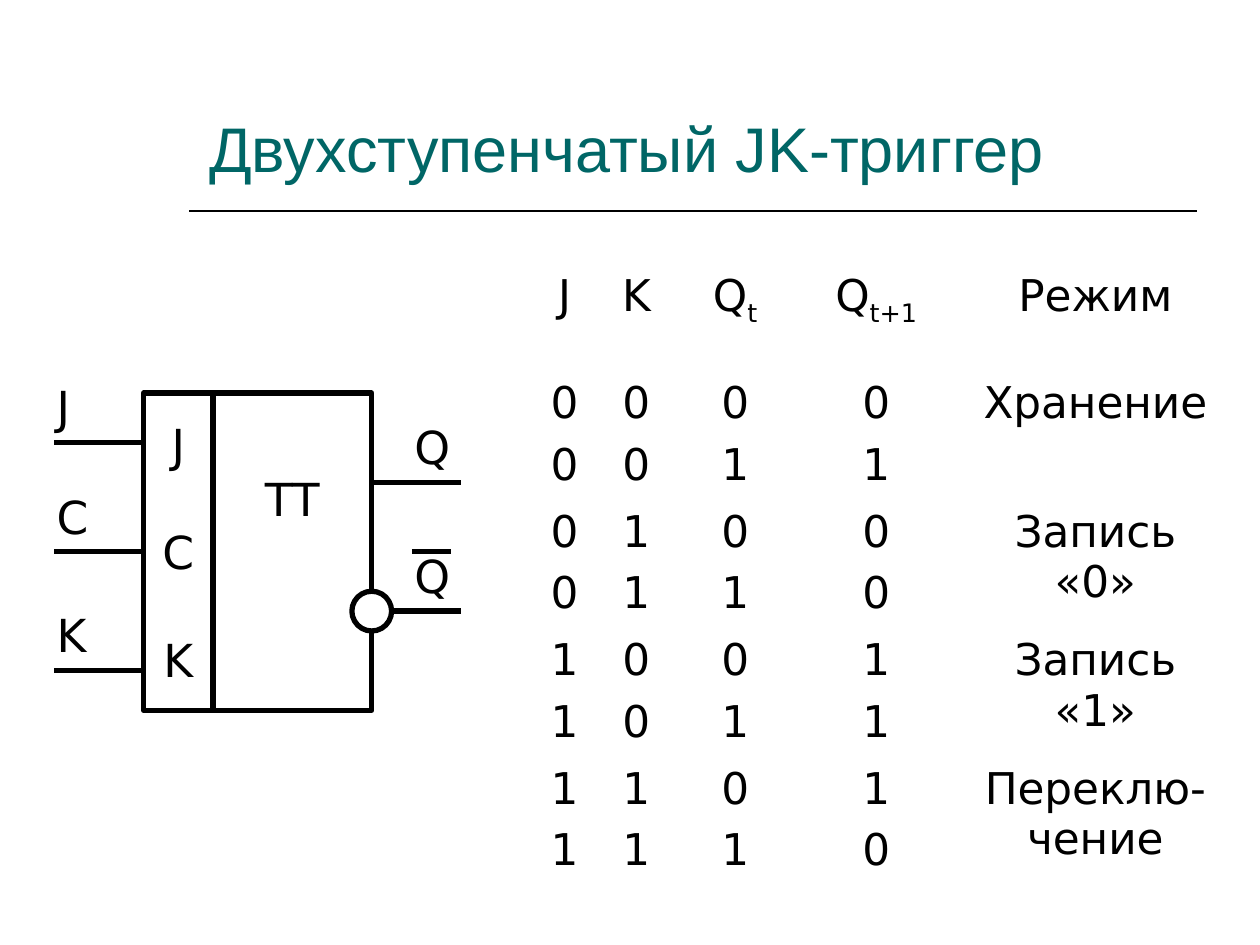
from lxml import etree
from pptx import Presentation
from pptx.dml.color import RGBColor
from pptx.enum.shapes import MSO_CONNECTOR, MSO_SHAPE
from pptx.enum.text import MSO_ANCHOR, MSO_AUTO_SIZE, PP_ALIGN
from pptx.oxml.ns import qn
from pptx.util import Pt

STRAIGHT = MSO_CONNECTOR.STRAIGHT
RECTANGLE, OVAL = MSO_SHAPE.RECTANGLE, MSO_SHAPE.OVAL
MIDDLE, BOTTOM = MSO_ANCHOR.MIDDLE, MSO_ANCHOR.BOTTOM
LEFT, CENTER = PP_ALIGN.LEFT, PP_ALIGN.CENTER
FIXED, GROW = MSO_AUTO_SIZE.NONE, MSO_AUTO_SIZE.SHAPE_TO_FIT_TEXT
LEFT_SIDE = 1

COLORS = {"ink": "000000", "paper": "FFFFFF", "title": "006666"}
HEAD_FONT, BODY_FONT = "Arial", "DejaVu Sans"
SYMBOL_SIZE, TABLE_SIZE = 26, 25
LINE_HEIGHT = 30.3  # one line of symbol text

PINS = ["J", "С", "K"]
HEADINGS = [("J", ""), ("K", ""), ("Q", "t"), ("Q", "t+1"), ("Режим", "")]
COLUMN_WIDTHS = [38.9, 43.2, 69.8, 91.4, 159.1]
# Each mode: J, K, then Q(t+1) for Q(t) = 0 and 1
MODES = [
    ("0", "0", "01", "Хранение"),
    ("0", "1", "00", "Запись «0»"),
    ("1", "0", "11", "Запись «1»"),
    ("1", "1", "10", "Переклю-чение"),
]


def color(name):
    return RGBColor.from_string(COLORS[name])


def add_span(para, text, size, font=BODY_FONT, ink="ink"):
    span = para.add_run()
    span.text = text
    span.font.size = Pt(size)
    span.font.name = font
    span.font.color.rgb = color(ink)
    return span


def add_line(page, x1, y1, x2, y2, weight=3):
    line = page.shapes.add_connector(STRAIGHT, Pt(x1), Pt(y1), Pt(x2), Pt(y2))
    line.line.color.rgb = color("ink")
    line.line.width = Pt(weight)
    etree.SubElement(line._element.spPr, qn("a:effectLst"))
    return line


def add_outlined(page, kind, left, top, width, height):
    shape = page.shapes.add_shape(kind, Pt(left), Pt(top), Pt(width), Pt(height))
    shape.shadow.inherit = False
    shape.fill.solid()
    shape.fill.fore_color.rgb = color("paper")
    shape.line.color.rgb = color("ink")
    shape.line.width = Pt(3)
    shape.text_frame.word_wrap = False
    shape.text_frame.vertical_anchor = MIDDLE
    return shape


def add_label(page, text, left, line_y):
    """Put a signal name just above its line."""
    box = page.shapes.add_textbox(Pt(left), Pt(line_y - 39.6), Pt(51), Pt(39))
    frame = box.text_frame
    frame.word_wrap = True
    frame.auto_size = GROW
    add_span(frame.paragraphs[0], text, SYMBOL_SIZE)


def add_heading(page, left, top, width, height):
    title = page.shapes.title
    title.left, title.top = Pt(left), Pt(top)
    title.width, title.height = Pt(width), Pt(height)
    frame = title.text_frame
    frame.auto_size = FIXED
    frame.vertical_anchor = BOTTOM
    para = frame.paragraphs[0]
    para.alignment = LEFT
    add_span(para, "Двухступенчатый JK-триггер", 36, HEAD_FONT, "title")
    # Rule under the title
    rule_y = top + height + 11
    add_line(page, 108, rule_y, 684, rule_y, 1)


def add_truth_table(page, left, top, width, height):
    holder = page.shapes.add_table(len(MODES) + 1, len(HEADINGS),
                                   Pt(left), Pt(top), Pt(width), Pt(height))
    table = holder.table
    table.first_row = table.horz_banding = False
    for column, column_width in zip(table.columns, COLUMN_WIDTHS):
        column.width = Pt(column_width)
    head_height = 61.2
    for index, row in enumerate(table.rows):
        row.height = Pt((height - head_height) / len(MODES) if index else head_height)

    # Headings with subscripts
    for cell, (name, subscript) in zip(table.rows[0].cells, HEADINGS):
        para = cell.text_frame.paragraphs[0]
        add_span(para, name, TABLE_SIZE)
        if subscript:
            span = add_span(para, subscript, TABLE_SIZE)
            span.font._element.set("baseline", "-25000")

    # Two states for every mode
    for row, (j, k, following, mode) in zip(list(table.rows)[1:], MODES):
        for cell, lines in zip(row.cells, [j * 2, k * 2, "01", following, [mode]]):
            frame = cell.text_frame
            for index, text in enumerate(lines):
                para = frame.add_paragraph() if index else frame.paragraphs[0]
                if index:
                    para.space_before = Pt(6.2)
                add_span(para, text, TABLE_SIZE)

    for cell in table.iter_cells():
        cell.fill.background()
        for para in cell.text_frame.paragraphs:
            para.alignment = CENTER


def add_flip_flop(page, left, top, width, height):
    wire = 51.1
    pin_left = left + wire
    pin_width = 39.6
    body_left = pin_left + pin_width
    body_right = left + width - wire
    middle = top + height / 2
    direct_y, inverse_y = top + 51.1, top + 124.6

    # Input column
    pins = add_outlined(page, RECTANGLE, pin_left, top, pin_width, height)
    frame = pins.text_frame
    for index, name in enumerate(PINS):
        para = frame.add_paragraph() if index else frame.paragraphs[0]
        para.alignment = CENTER
        if index:
            para.space_before = Pt(LINE_HEIGHT)
        add_span(para, name, SYMBOL_SIZE)

    # Body, its text raised by two lines of bottom margin
    body = add_outlined(page, RECTANGLE, body_left, top, body_right - body_left, height)
    body.text_frame.margin_bottom = Pt(3.6 + 2 * LINE_HEIGHT)
    para = body.text_frame.paragraphs[0]
    para.alignment = CENTER
    add_span(para, "TT", SYMBOL_SIZE)

    # Inputs
    for name, y in zip(PINS, [top + 28.1, middle, top + 158.4]):
        line = add_line(page, left, y, pin_left, y)
        if y == middle:
            line.end_connect(pins, LEFT_SIDE)
        add_label(page, name, left - 5.8, y)

    # Outputs, the lower one inverted
    for y in (direct_y, inverse_y):
        add_line(page, body_right, y, left + width, y)
        add_label(page, "Q", body_right + 17.3, y)
    bubble = 22.7
    add_outlined(page, OVAL, body_right - bubble / 2, inverse_y - bubble / 2,
                 bubble, bubble)
    add_line(page, body_right + 23, middle, body_right + 45.4, middle)


def main():
    deck = Presentation()
    deck.slide_width, deck.slide_height = Pt(720), Pt(540)
    page = deck.slides.add_slide(deck.slide_layouts[5])
    add_heading(page, 112.3, 28.1, 567.4, 81.3)
    add_truth_table(page, 303.1, 151.2, sum(COLUMN_WIDTHS), 355)
    add_flip_flop(page, 31, 224.6, 232.5, 181.4)
    deck.save("out.pptx")


if __name__ == "__main__":
    main()
